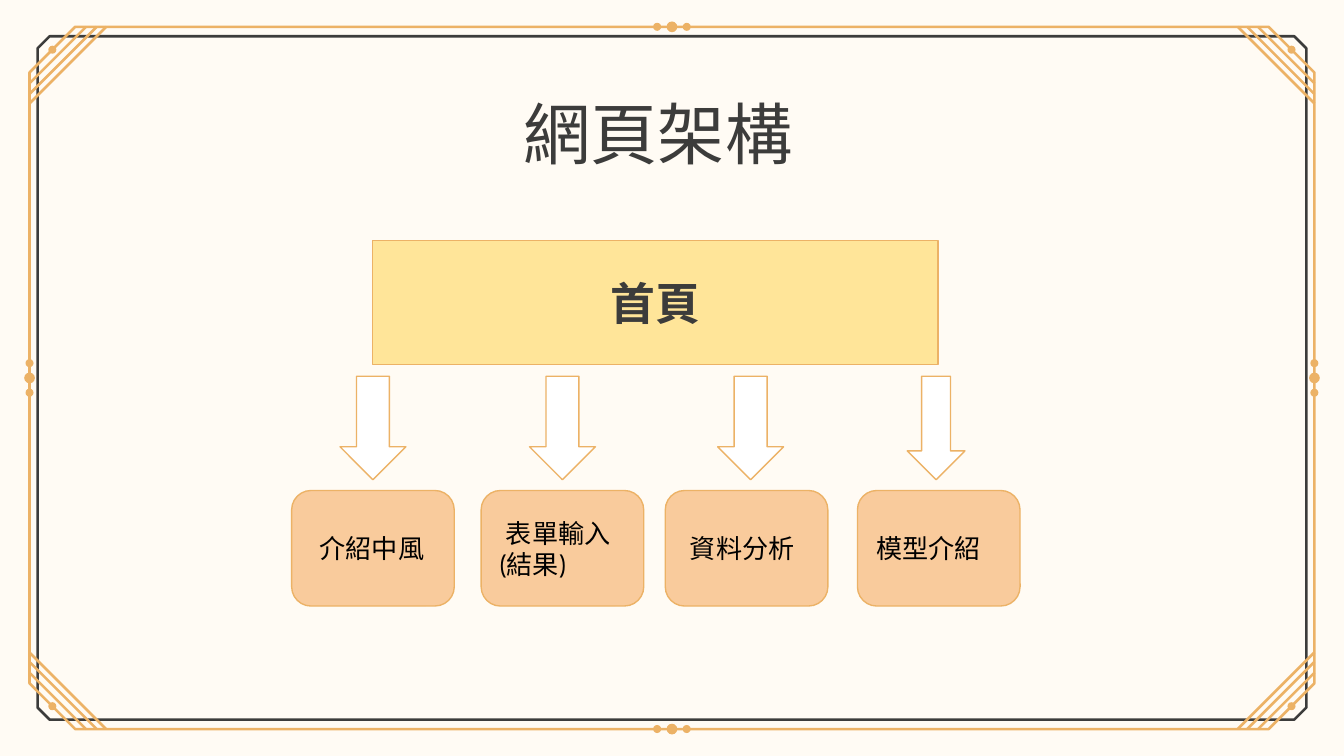
"""Build the website structure slide: a home page leading to four sections."""
from dataclasses import dataclass
from typing import Optional

import pptx
import pptx.dml.color
import pptx.enum.shapes
import pptx.enum.text
import pptx.util

Inches = pptx.util.Inches
Pt = pptx.util.Pt
MSO = pptx.enum.shapes.MSO_SHAPE
ALIGN = pptx.enum.text.PP_ALIGN
ANCHOR = pptx.enum.text.MSO_ANCHOR


@dataclass(frozen=True)
class Theme:
    paper: str = "FFFBF4"
    ink: str = "3C3C3B"
    gold: str = "ECB266"
    home: str = "FFE599"
    section: str = "F9CB9C"
    arrow: str = "FFFFFF"
    label: str = "000000"
    title_pt: float = 36
    home_pt: float = 24
    label_pt: float = 14
    rule_pt: float = 1.4
    line_pt: float = 0.75


@dataclass(frozen=True)
class Box:
    left: float
    top: float
    width: float
    height: float

    def emu(self) -> list[int]:
        return [Inches(v) for v in (self.left, self.top, self.width, self.height)]


@dataclass(frozen=True)
class Style:
    font: str
    size: float
    color: str
    bold: bool = False
    align: Optional[ALIGN] = None


@dataclass(frozen=True)
class Section:
    left: float
    arrow_left: float
    arrow_width: float
    text: str = ""
    font: str = "Arial"


T = Theme()
W = 10
H = W * 9 / 16
LEFT, TOP = 0.22, 0.2
RIGHT, BOTTOM = W - LEFT, H - TOP
SECTIONS = [
    Section(2.17, 2.53, 0.49),
    Section(3.58, 3.94, 0.49, " 表單輸入(結果)", "Cabin"),
    Section(4.95, 5.34, 0.49, " 資料分析"),
    Section(6.38, 6.75, 0.43, "模型介紹"),
]


def rgb(color: str) -> pptx.dml.color.RGBColor:
    return pptx.dml.color.RGBColor.from_string(color)


def write(s, text: str, style: Style, anchor=ANCHOR.MIDDLE) -> None:
    tf = s.text_frame
    tf.word_wrap = True
    tf.vertical_anchor = anchor
    tf.margin_left = tf.margin_right = tf.margin_top = tf.margin_bottom = Inches(0.1)
    p = tf.paragraphs[0]
    p.text = text
    p.alignment = style.align or ALIGN.LEFT
    p.font.name = style.font
    p.font.size = Pt(style.size)
    p.font.bold = style.bold
    p.font.color.rgb = rgb(style.color)


def add_block(s, kind: MSO, box: Box, fill: str, line: Optional[str] = T.gold):
    sp = s.shapes.add_shape(kind, *box.emu())
    sp.shadow.inherit = False
    sp.fill.solid()
    sp.fill.fore_color.rgb = rgb(fill)
    if line:
        sp.line.color.rgb = rgb(line)
        sp.line.width = Pt(T.line_pt)
    else:
        sp.line.fill.background()
    return sp


def add_rule(s, points: list[tuple[float, float]], color: str, close: bool = False) -> None:
    vertices = [(Inches(x), Inches(y)) for x, y in points]
    builder = s.shapes.build_freeform(*vertices[0])
    builder.add_line_segments(vertices[1:], close=close)
    sp = builder.convert_to_shape()
    sp.shadow.inherit = False
    sp.fill.background()
    sp.line.color.rgb = rgb(color)
    sp.line.width = Pt(T.rule_pt)


def add_octagon(s, left: float, top: float, cut: float, color: str) -> None:
    right, bottom = W - left, H - top
    add_rule(s, [(left + cut, top), (right - cut, top), (right, top + cut),
                 (right, bottom - cut), (right - cut, bottom), (left + cut, bottom),
                 (left, bottom - cut), (left, top + cut)], color, close=True)


def add_dot(s, x: float, y: float, size: float = 0.06) -> None:
    add_block(s, MSO.OVAL, Box(x - size / 2, y - size / 2, size, size), T.gold, None)


def add_frame(s) -> None:
    add_octagon(s, 0.28, 0.27, 0.09, T.ink)
    add_octagon(s, LEFT, TOP, 0.34, T.gold)
    for x, dx in ((LEFT, 1), (RIGHT, -1)):
        for y, dy in ((TOP, 1), (BOTTOM, -1)):
            for cut in (0.42, 0.5, 0.57):
                add_rule(s, [(x + dx * cut, y), (x, y + dy * cut)], T.gold)
            add_dot(s, x + dx * 0.17, y + dy * 0.17)
    for offset, size in ((-0.11, 0.06), (0, 0.08), (0.11, 0.06)):
        for y in (TOP, BOTTOM):
            add_dot(s, W / 2 + offset, y, size)
        for x in (LEFT, RIGHT):
            add_dot(s, x, H / 2 + offset, size)


def add_sections(s) -> None:
    for section in SECTIONS:
        box = Box(section.arrow_left, 2.8, section.arrow_width, 0.77)
        add_block(s, MSO.DOWN_ARROW, box, T.arrow)
    for section in SECTIONS:
        sp = add_block(s, MSO.ROUNDED_RECTANGLE, Box(section.left, 3.65, 1.21, 0.86), T.section)
        if section.text:
            write(sp, section.text, Style(section.font, T.label_pt, T.label))
    intro = s.shapes.add_textbox(*Box(2.28, 3.86, 1.1, 0.44).emu())
    write(intro, "介紹中風", Style("Cabin", T.label_pt, T.label), ANCHOR.TOP)


def main() -> None:
    prs = pptx.Presentation()
    prs.slide_width, prs.slide_height = Inches(W), Inches(H)
    s = prs.slides.add_slide(prs.slide_layouts[5])
    s.background.fill.solid()
    s.background.fill.fore_color.rgb = rgb(T.paper)
    add_frame(s)
    title = s.shapes.title
    title.left, title.top, title.width, title.height = Box(1.29, 0.53, 7.21, 0.92).emu()
    write(title, "網頁架構", Style("Lato", T.title_pt, T.ink, align=ALIGN.CENTER))
    home = add_block(s, MSO.RECTANGLE, Box(2.77, 1.79, 4.21, 0.92), T.home)
    write(home, "首頁", Style("Cabin", T.home_pt, T.ink, True, ALIGN.CENTER))
    add_sections(s)
    prs.save("out.pptx")


if __name__ == "__main__":
    main()
